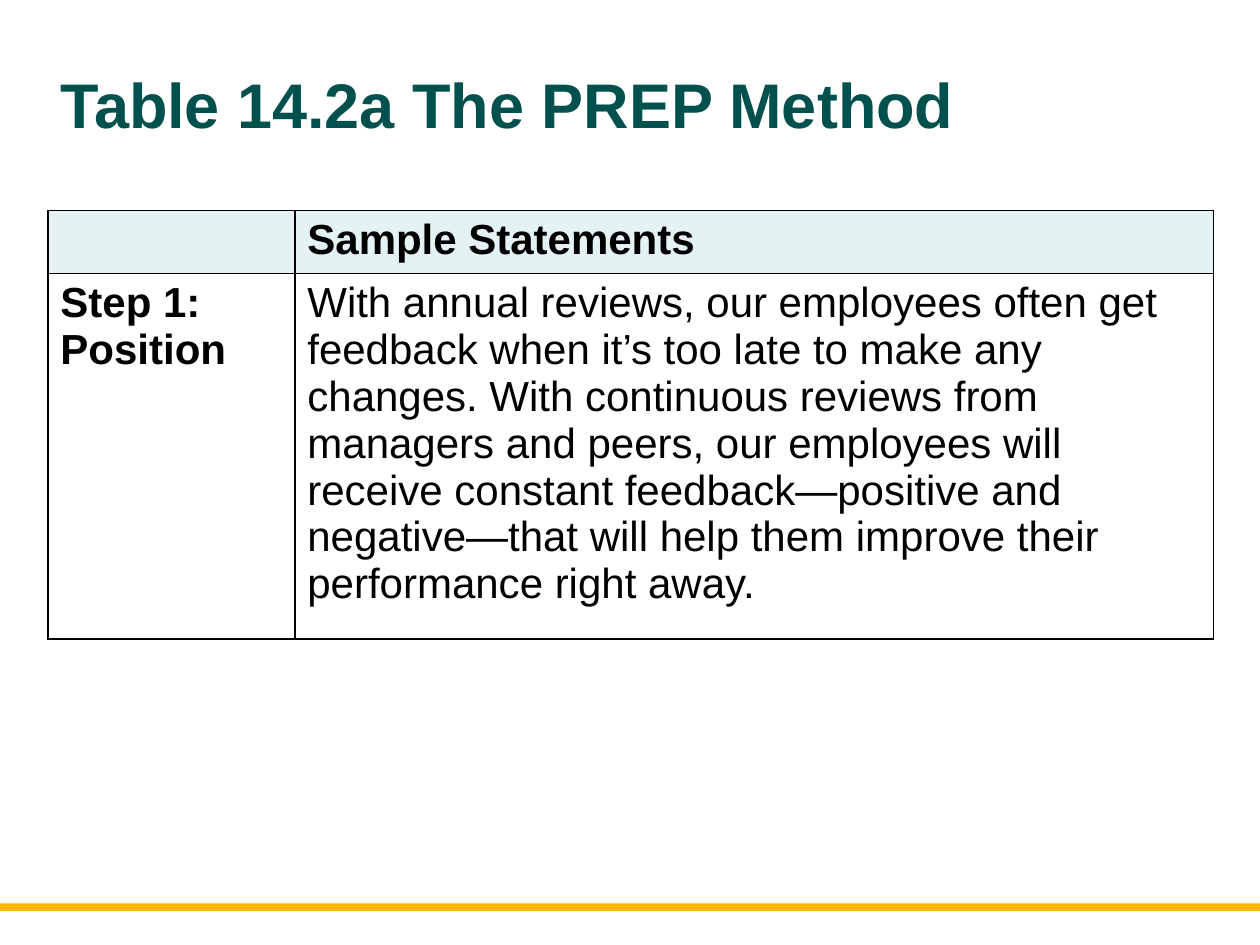
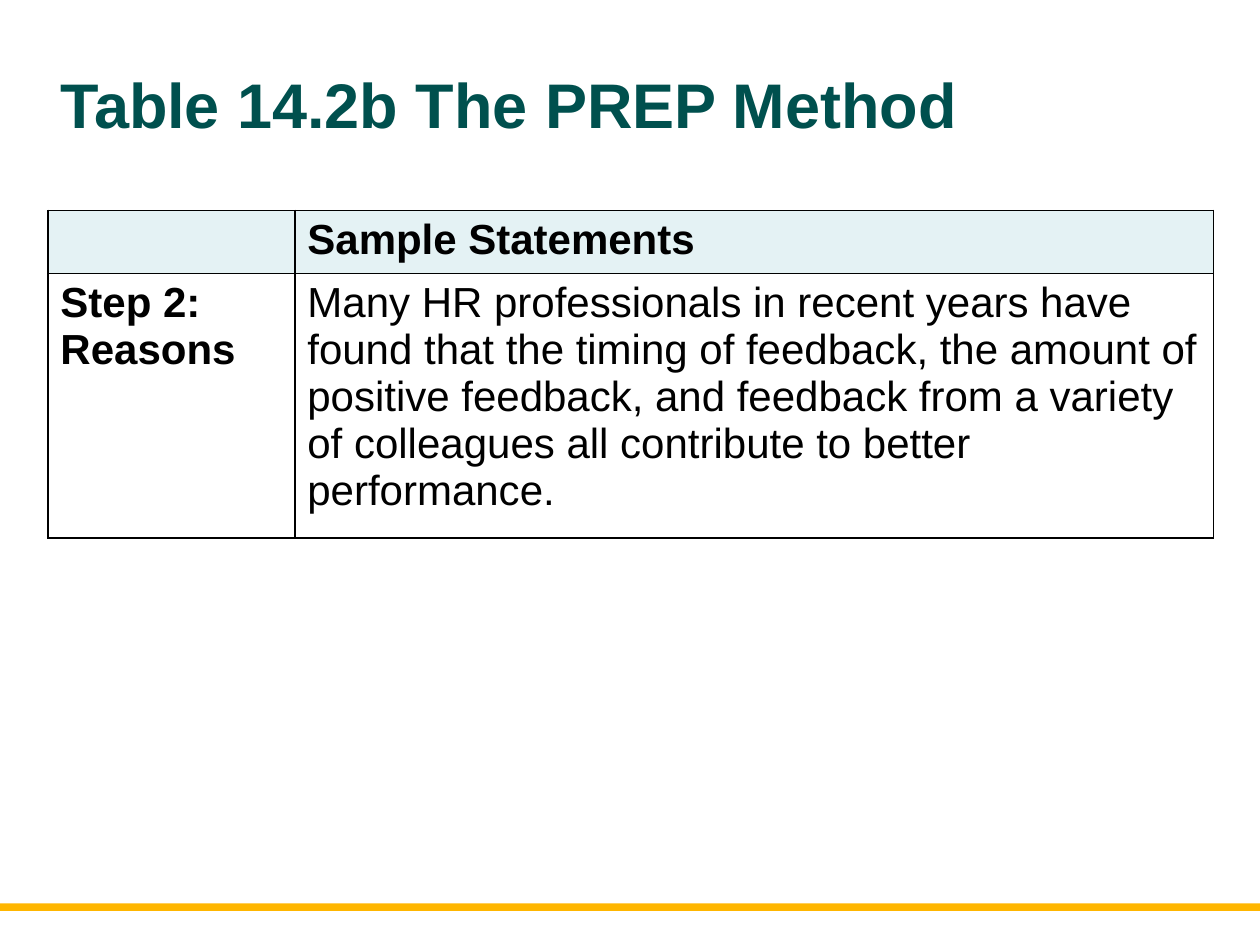
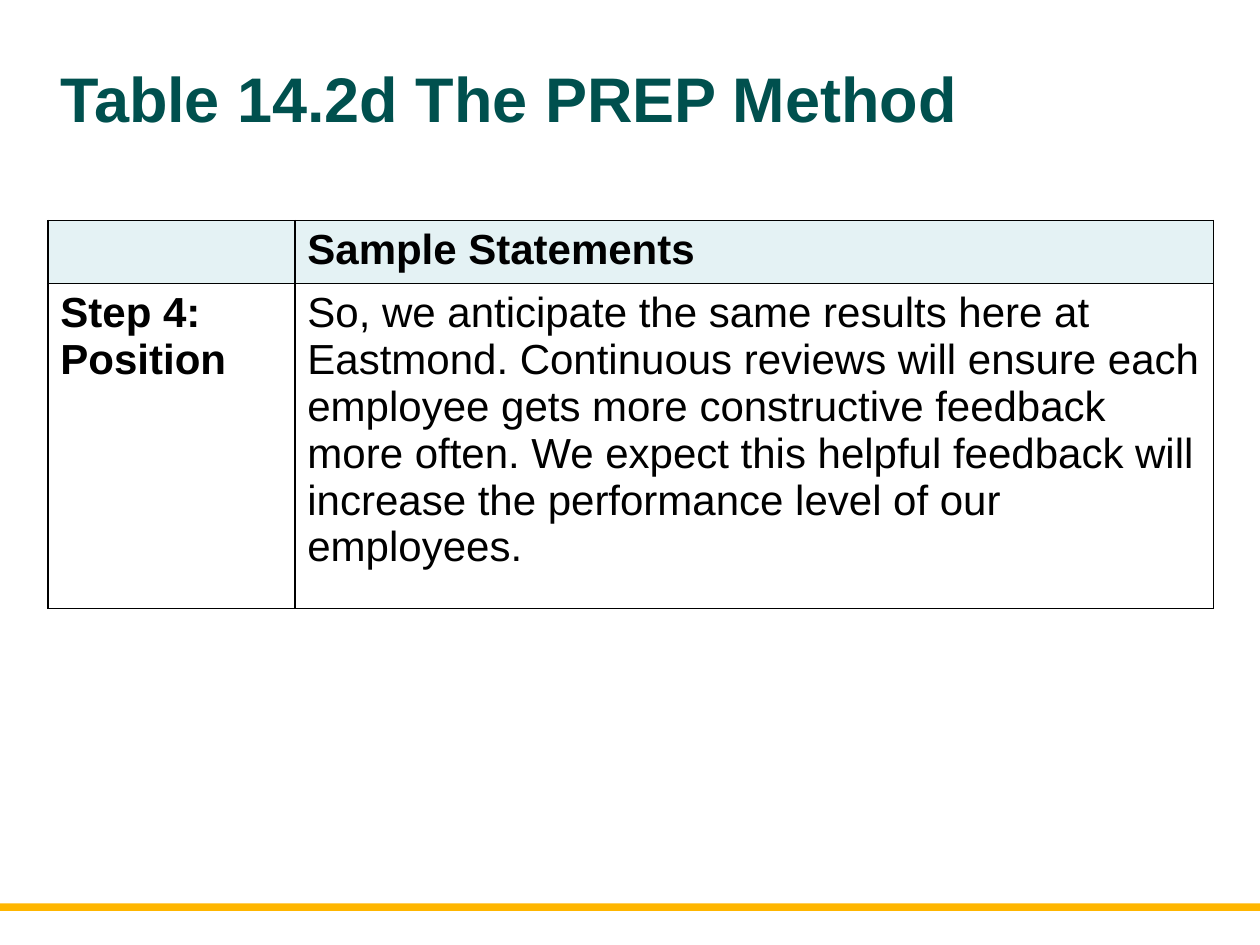
from lxml import etree
from pptx import Presentation
from pptx import util as u
from pptx.dml.color import RGBColor
from pptx.enum import shapes, text
from pptx.oxml import ns

# Shared look
FONT = "Arial"
COLORS = {"title": "00504E", "ink": "000000", "head": "E4F2F4", "band": "FFB600"}
LEFT, WIDTH = 0.38, 9.25
COLS = (1.96, 7.29)
HEAD = 0.47

# Title, title top, table top, body height, step, statement
PAGES = [
    ("Table 14.2a The PREP Method", 0.38, 1.67, 2.7, "Step 1: Position",
     "With annual reviews, our employees often get feedback when it’s too late "
     "to make any changes. With continuous reviews from managers and peers, our "
     "employees will receive constant feedback—positive and negative—that will "
     "help them improve their performance right away."),
    ("Table 14.2b The PREP Method", 0.38, 1.67, 1.95, "Step 2: Reasons",
     "Many HR professionals in recent years have found that the timing of "
     "feedback, the amount of positive feedback, and feedback from a variety of "
     "colleagues all contribute to better performance."),
    ("Table 14.2d The PREP Method", 0.33, 1.75, 2.58, "Step 4: Position",
     "So, we anticipate the same results here at Eastmond. Continuous reviews "
     "will ensure each employee gets more constructive feedback more often. We "
     "expect this helpful feedback will increase the performance level of our "
     "employees."),
]


def color(name):
    return RGBColor.from_string(COLORS[name])


def write(frame, words, size=24, bold=False, ink="ink"):
    frame.word_wrap = True
    run = frame.paragraphs[0].add_run()
    run.text = words
    font = run.font
    font.name, font.size, font.bold = FONT, u.Pt(size), bold
    font.color.rgb = color(ink)


def add_band(slide):
    band = slide.shapes.add_shape(
        shapes.MSO_SHAPE.RECTANGLE, 0, u.Inches(7.17), u.Inches(10), u.Inches(0.06))
    band.shadow.inherit = False
    band.fill.solid()
    band.fill.fore_color.rgb = color("band")
    band.line.fill.background()


def add_title(slide, words, top):
    box = slide.shapes.add_textbox(
        u.Inches(LEFT), u.Inches(top), u.Inches(WIDTH), u.Inches(0.88))
    box.text_frame.vertical_anchor = text.MSO_ANCHOR.MIDDLE
    write(box.text_frame, words, size=36, bold=True, ink="title")


def add_edges(cell):
    props = cell._tc.get_or_add_tcPr()
    for side in ("lnL", "lnR", "lnT", "lnB"):
        edge = etree.SubElement(props, ns.qn("a:" + side), w=str(u.Pt(1)))
        fill = etree.SubElement(edge, ns.qn("a:solidFill"))
        etree.SubElement(fill, ns.qn("a:srgbClr"), val=COLORS["ink"])


def add_grid(slide, rows, top, tall):
    highs = (HEAD, tall)
    grid = slide.shapes.add_table(
        len(rows), len(COLS), u.Inches(LEFT), u.Inches(top),
        u.Inches(WIDTH), u.Inches(sum(highs))).table
    for col, wide in zip(grid.columns, COLS):
        col.width = u.Inches(wide)
    for r, row in enumerate(rows):
        grid.rows[r].height = u.Inches(highs[r])
        for c, words in enumerate(row):
            cell = grid.cell(r, c)
            add_edges(cell)
            if r == 0:
                cell.fill.solid()
                cell.fill.fore_color.rgb = color("head")
            else:
                cell.fill.background()
            if words:
                write(cell.text_frame, words, bold=r == 0 or c == 0)


def main():
    deck = Presentation()
    deck.slide_width, deck.slide_height = u.Inches(10), u.Inches(7.5)
    for title, high, top, tall, step, words in PAGES:
        slide = deck.slides.add_slide(deck.slide_layouts[6])
        add_band(slide)
        add_title(slide, title, high)
        add_grid(slide, [("", "Sample Statements"), (step, words)], top, tall)
    deck.save("out.pptx")


main()
